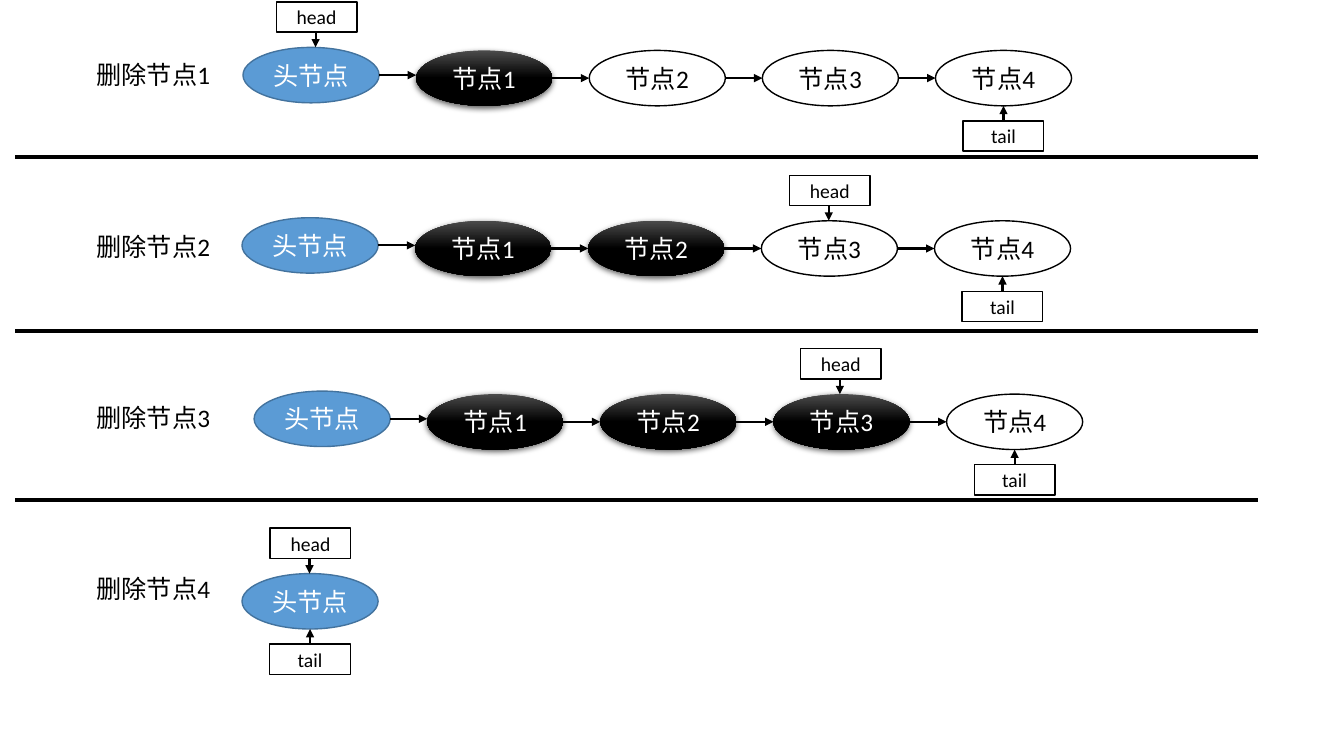
import copy

import pptx
import pptx.dml.color
import pptx.enum.shapes
import pptx.enum.text
import pptx.oxml
import pptx.oxml.ns
import pptx.util

Inches = pptx.util.Inches
Pt = pptx.util.Pt
RGB = pptx.dml.color.RGBColor.from_string
KIND = pptx.enum.shapes.MSO_SHAPE
qn = pptx.oxml.ns.qn

COLORS = {"black": "000000", "white": "FFFFFF", "blue": "5B9BD5",
          "rim": "43739E", "gloss": "4B4B4B"}
SHADOW = (
    f'<a:outerShdw {pptx.oxml.ns.nsdecls("a")} blurRad="57150" dist="19050" '
    'dir="5400000" algn="ctr" rotWithShape="0"><a:srgbClr val="000000">'
    '<a:alpha val="63000"/></a:srgbClr></a:outerShdw>')

NODE_W, NODE_H = 1.35, 0.55
STEP = 1.717
BOX_W, BOX_H = 0.8, 0.3

prs = pptx.Presentation()
prs.slide_width, prs.slide_height = Inches(13.33), Inches(7.5)
slide = prs.slides.add_slide(prs.slide_layouts[6])


def block(kind, x, y, w, h, text, size=18, fill="white", ink="black", edge="black"):
    """Add a shape with centred text; a fill of "gloss" gives the deleted look."""
    shape = slide.shapes.add_shape(kind, Inches(x), Inches(y), Inches(w), Inches(h))
    shape.shadow.inherit = False
    if fill == "gloss":
        shape.fill.gradient()
        shape.fill.gradient_angle = 270
        for stop, pos, name in zip(shape.fill.gradient_stops, (0, 0.5), ("gloss", "black")):
            stop.position = pos
            stop.color.rgb = RGB(COLORS[name])
        props = shape._element.spPr
        stops = props.find(".//" + qn("a:gsLst"))
        stops.append(copy.deepcopy(stops[-1]))
        stops[-1].set("pos", "100000")
        props.find(qn("a:effectLst")).append(pptx.oxml.parse_xml(SHADOW))
    else:
        shape.fill.solid()
        shape.fill.fore_color.rgb = RGB(COLORS[fill])
    if edge:
        shape.line.color.rgb = RGB(COLORS[edge])
        shape.line.width = Pt(1)
    else:
        shape.line.fill.background()
    frame = shape.text_frame
    frame.text = text
    frame.vertical_anchor = pptx.enum.text.MSO_ANCHOR.MIDDLE
    para = frame.paragraphs[0]
    para.alignment = pptx.enum.text.PP_ALIGN.CENTER
    font = para.runs[0].font
    font.name, font.size = "Calibri", Pt(size)
    font.color.rgb = RGB(COLORS[ink])


def line(x1, y1, x2, y2, width=1.5, arrow=True):
    link = slide.shapes.add_connector(
        pptx.enum.shapes.MSO_CONNECTOR.STRAIGHT,
        Inches(x1), Inches(y1), Inches(x2), Inches(y2))
    link.line.color.rgb = RGB(COLORS["black"])
    link.line.width = Pt(width)
    props = link._element.spPr
    props.append(props.makeelement(qn("a:effectLst"), {}))
    if arrow:
        edge = props.find(qn("a:ln"))
        edge.append(edge.makeelement(qn("a:tailEnd"), {"type": "triangle"}))


for y in (1.56, 3.28, 4.96):
    line(0.15, y, 12.48, y, width=3, arrow=False)

# Left and top of the first node, node count, deleted nodes, head node, head box left
rows = [
    (2.41, 0.47, 5, 1, 0, 2.74),
    (2.40, 2.16, 5, 2, 3, 7.83),
    (2.52, 3.88, 5, 3, 3, 7.94),
    (2.40, 5.69, 1, 0, 0, 2.68),
]
for num, (left, top, count, dead, head, box) in enumerate(rows):
    block(KIND.RECTANGLE, 0.53, 0.27 + 1.7 * num, 1.98, 0.94,
          f"删除节点{num + 1}", edge=None)

    for i in range(count):
        x = left + STEP * i
        y = top + (0.03 if i else 0)
        if i == 0:
            block(KIND.OVAL, x, y, NODE_W, NODE_H, "头节点",
                  fill="blue", ink="white", edge="rim")
        elif i <= dead:
            block(KIND.OVAL, x, y, NODE_W, NODE_H, f"节点{i}",
                  fill="gloss", ink="white", edge=None)
        else:
            block(KIND.OVAL, x, y, NODE_W, NODE_H, f"节点{i}")
        if i < count - 1:
            mid = y + NODE_H / 2
            line(x + NODE_W, mid, x + STEP, mid)
        if i == head:
            block(KIND.RECTANGLE, box, y - 0.45, BOX_W, BOX_H, "head", size=14)
            line(box + 0.39, y - 0.45 + BOX_H, box + 0.39, y)

    mid = x + NODE_W / 2
    block(KIND.RECTANGLE, mid - BOX_W / 2, y + 0.7, BOX_W, BOX_H, "tail", size=14)
    line(mid, y + 0.7, mid, y + NODE_H)

prs.save("out.pptx")
